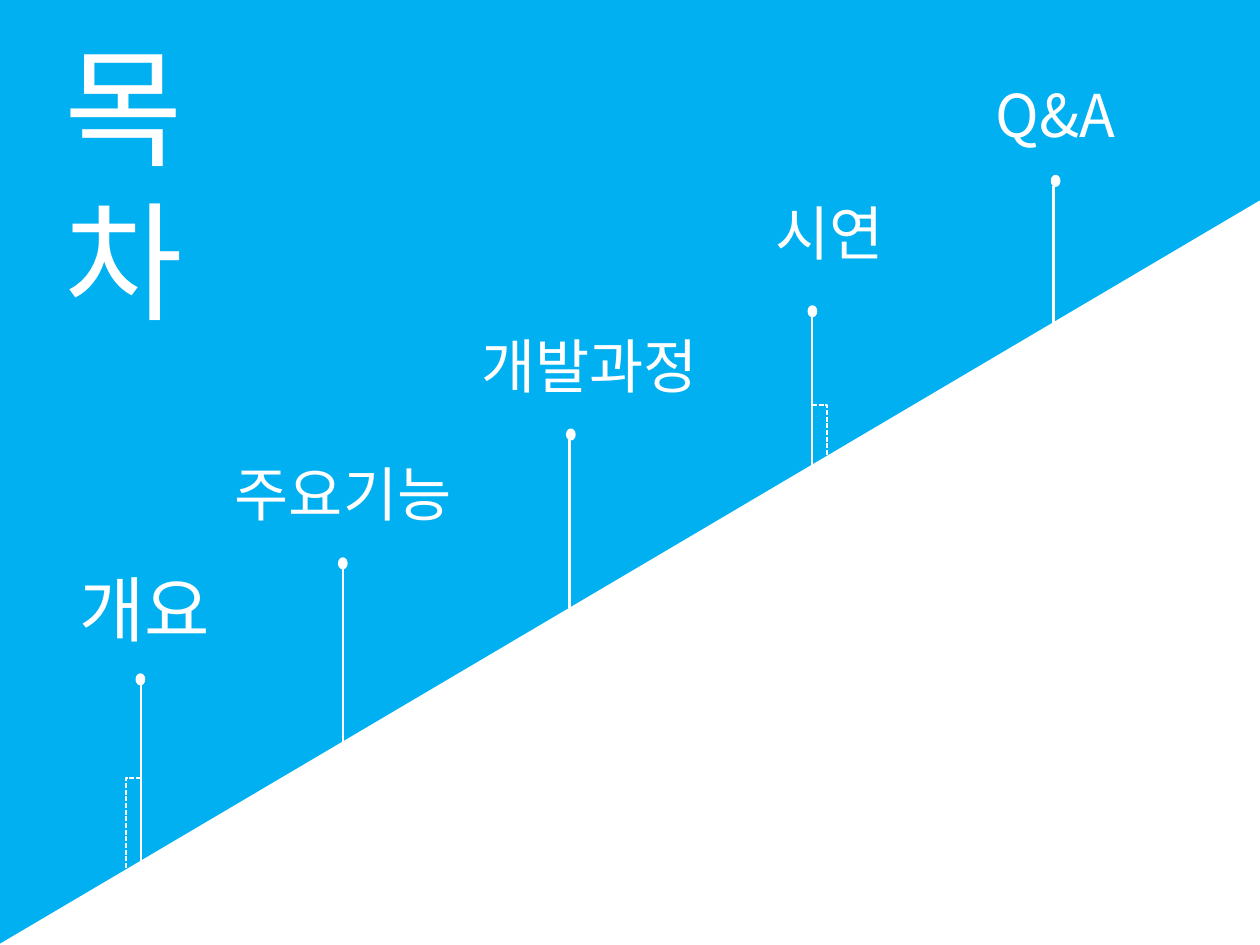
from dataclasses import dataclass
from lxml.etree import SubElement
from pptx import Presentation
from pptx.dml.color import RGBColor as Rgb
from pptx.enum.dml import MSO_LINE as Dash
from pptx.enum.shapes import MSO_CONNECTOR as Link, MSO_SHAPE as Shape
from pptx.enum.text import MSO_ANCHOR as Anchor, MSO_AUTO_SIZE as Fit, PP_ALIGN as Align
from pptx.oxml.ns import qn
from pptx.util import Inches, Pt

COLORS = {"sky": "00B0F0", "white": "FFFFFF"}
FONT = "Noto Sans CJK KR"


@dataclass
class Step:
    label: str
    left: float
    top: float
    tall: float
    size: int
    stem: float
    head: float
    foot: float
    dot: float


@dataclass
class Hook:
    left: float
    top: float
    turn: int
    flip: bool


STEPS = [
    Step("개요", 0.31, 7, 1.21, 64, 1.76, 8.56, 10.9, 1.71),
    Step("주요기능", 2.79, 5.65, 1.03, 53, 4.29, 7.11, 9.66, 4.24),
    Step("개발과정", 5.87, 4.05, 1.03, 53, 7.12, 5.5, 7.86, 7.09),
    Step("시연", 8.87, 2.39, 1.03, 53, 10.15, 3.96, 6.38, 10.11),
    Step("Q&A", 11.69, 0.91, 1.03, 53, 13.17, 2.33, 4.75, 13.15),
]
HOOKS = [Hook(0.49, 9.63, 90, False), Hook(9.07, 4.97, 270, True)]


def color(name: str) -> Rgb:
    return Rgb.from_string(COLORS[name])


def place(item, left: float, top: float, width: float, height: float) -> None:
    item.left, item.top = Inches(left), Inches(top)
    item.width, item.height = Inches(width), Inches(height)


def write(item, text: str, size: int, align: Align) -> None:
    frame = item.text_frame
    frame.text = text
    frame.word_wrap = True
    frame.auto_size = Fit.SHAPE_TO_FIT_TEXT
    frame.vertical_anchor = Anchor.TOP
    frame.margin_left = frame.margin_right = Inches(0.13)
    frame.margin_top = frame.margin_bottom = Inches(0.07)
    para = frame.paragraphs[0]
    para.alignment = align
    font = para.runs[0].font
    font.size = Pt(size)
    font.name = FONT
    font.color.rgb = color("white")
    SubElement(font._element, qn("a:ea")).set("typeface", FONT)


def solid(slide, kind: Shape, box: tuple[float, ...], weight: float):
    item = slide.shapes.add_shape(kind, *map(Inches, box))
    item.shadow.inherit = False
    item.fill.solid()
    item.fill.fore_color.rgb = color("white")
    item.line.color.rgb = color("white")
    item.line.width = Pt(weight)
    return item


def join(slide, kind: Link, ends: tuple[float, ...], weight: float):
    line = slide.shapes.add_connector(kind, *map(Inches, ends))
    line.line.color.rgb = color("white")
    line.line.width = Pt(weight)
    SubElement(line._element.spPr, qn("a:effectLst"))
    return line


def draw_step(slide, step: Step) -> None:
    box = slide.shapes.add_textbox(0, 0, 0, 0)
    write(box, step.label, step.size, Align.CENTER)
    place(box, step.left, step.top, 3, step.tall)
    join(slide, Link.STRAIGHT, (step.stem, step.foot, step.stem, step.head), 2.25)
    solid(slide, Shape.OVAL, (step.dot, step.head - 0.13, 0.09, 0.12), 2.25)


def draw_hook(slide, hook: Hook) -> None:
    start, end = hook.left, hook.left + 2.35
    if hook.flip:
        start, end = end, start
    line = join(slide, Link.ELBOW, (start, hook.top, end, hook.top + 0.18), 1.5)
    line.line.dash_style = Dash.SQUARE_DOT
    line._element.spPr.find(qn("a:xfrm")).set("rot", str(hook.turn * 60000))


def main() -> None:
    deck = Presentation()
    deck.slide_width, deck.slide_height = Inches(15.75), Inches(11.81)
    slide = deck.slides.add_slide(deck.slide_layouts[5])
    back = slide.background.fill
    back.solid()
    back.fore_color.rgb = color("sky")
    title = slide.shapes.title
    write(title, "목차", 116, Align.LEFT)
    place(title, 0.68, 0.27, 3.2, 2.09)
    hill = solid(slide, Shape.ISOSCELES_TRIANGLE, (0, 2.52, 15.75, 9.29), 2)
    hill.adjustments[0] = 1
    for step in STEPS:
        draw_step(slide, step)
    for hook in HOOKS:
        draw_hook(slide, hook)
    deck.save("out.pptx")


if __name__ == "__main__":
    main()
